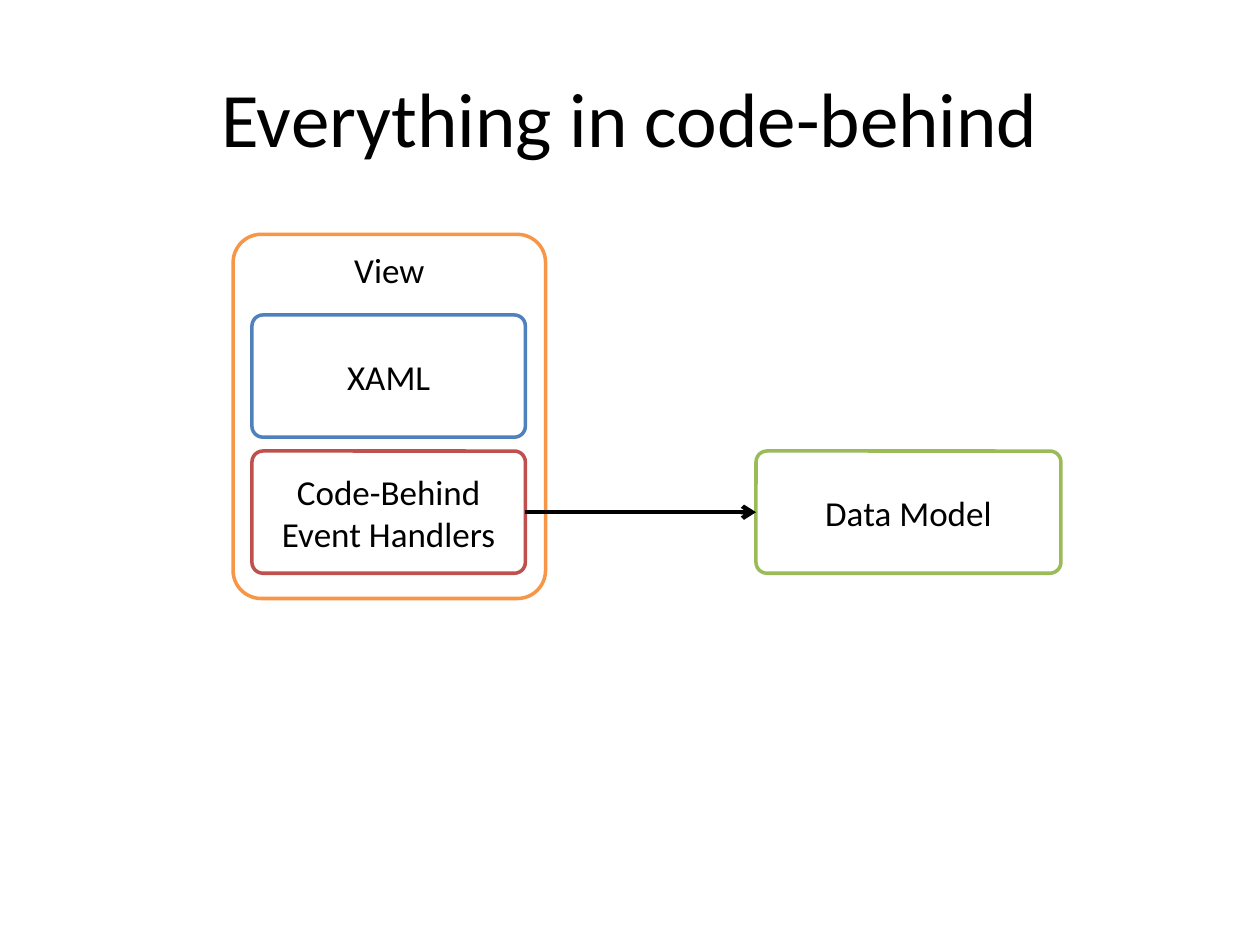
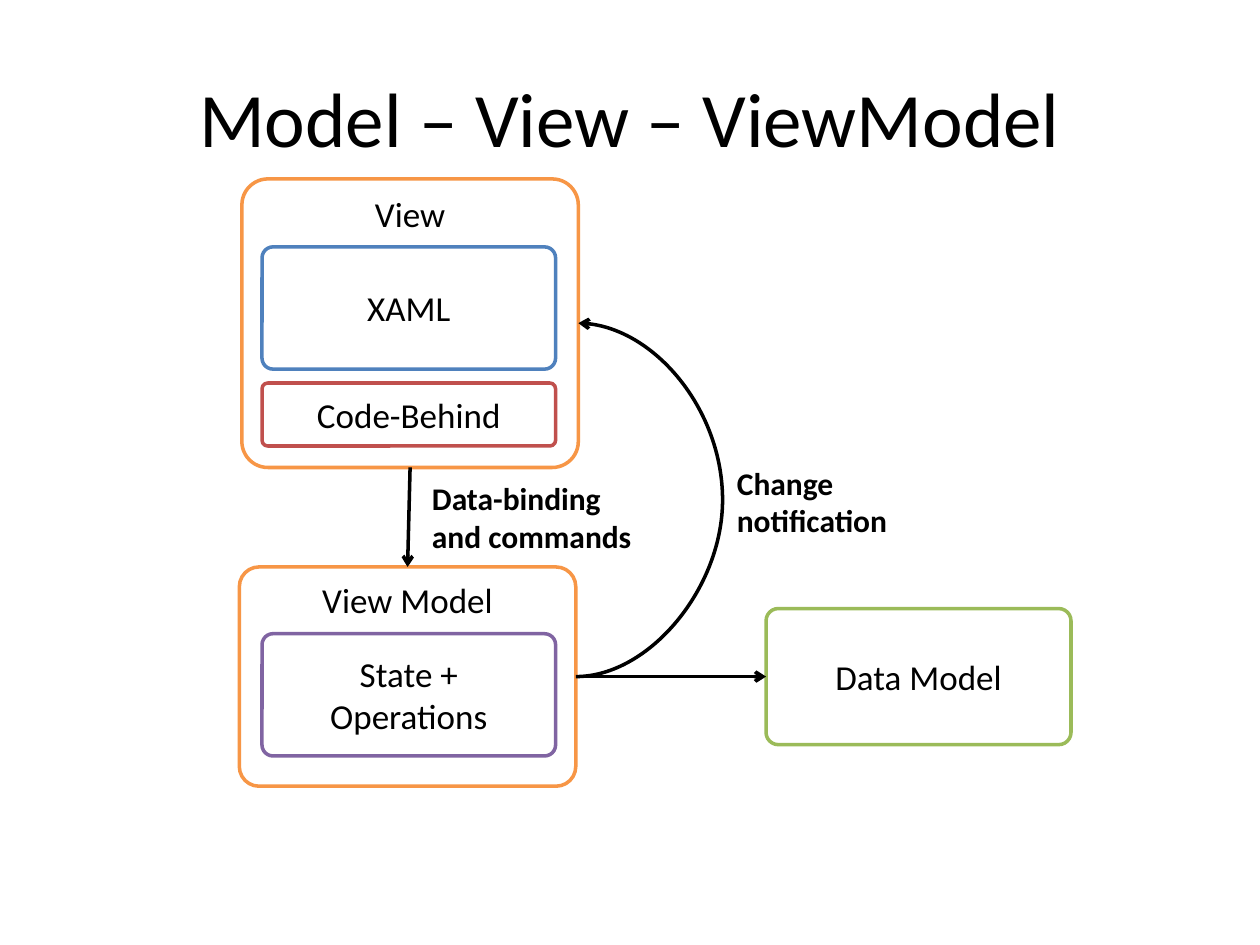
import dataclasses

import lxml.etree
import pptx
import pptx.dml.color
import pptx.enum.shapes
import pptx.enum.text
import pptx.oxml.ns
import pptx.shapes.autoshape
import pptx.shapes.connector
import pptx.slide
import pptx.util

PX = pptx.util.Inches(1) // 100
FONT = "Calibri"
COLORS = {
    "text": "000000",
    "paper": "FFFFFF",
    "view": "F79646",
    "xaml": "4F81BD",
    "code": "C0504D",
    "state": "8064A2",
    "model": "9BBB59",
}
ANCHOR = pptx.enum.text.MSO_ANCHOR
ALIGN = pptx.enum.text.PP_ALIGN
LINK = pptx.enum.shapes.MSO_CONNECTOR
TOP, LEFT, BOTTOM, RIGHT = range(4)


@dataclasses.dataclass
class Box:
    name: str
    lines: list[str]
    color: str
    x: int
    y: int
    w: int
    h: int
    anchor: ANCHOR = ANCHOR.MIDDLE


@dataclasses.dataclass
class Arrow:
    start: str
    start_side: int
    end: str
    end_side: int
    weight: float = 2
    bulge: int = 0  # percent of the connector's width; 0 means straight


@dataclasses.dataclass
class Label:
    text: str
    x: int
    y: int
    w: int
    h: int = 71


@dataclasses.dataclass
class Diagram:
    title: str
    boxes: list[Box]
    arrows: list[Arrow]
    labels: list[Label] = dataclasses.field(default_factory=list)


DIAGRAMS = [
    Diagram(
        "Everything in code-behind",
        [
            Box("model", ["Data Model"], "model", 600, 358, 242, 97),
            Box("view", ["View"], "view", 185, 186, 248, 289, ANCHOR.TOP),
            Box("xaml", ["XAML"], "xaml", 200, 250, 217, 97),
            Box("code", ["Code-Behind", "Event Handlers"], "code", 200, 358, 217, 97),
        ],
        [Arrow("code", RIGHT, "model", LEFT, 2.5)],
    ),
    Diagram(
        "Model – View – ViewModel",
        [
            Box("model", ["Data Model"], "model", 608, 483, 242, 108),
            Box("view", ["View"], "view", 192, 142, 267, 229, ANCHOR.TOP),
            Box("xaml", ["XAML"], "xaml", 208, 196, 233, 97),
            Box("code", ["Code-Behind"], "code", 208, 304, 233, 50),
            Box("view model", ["View Model"], "view", 190, 450, 267, 174, ANCHOR.TOP),
            Box("state", ["State + Operations"], "state", 208, 503, 233, 97),
        ],
        [
            Arrow("view model", RIGHT, "model", LEFT),
            Arrow("view", BOTTOM, "view model", TOP),
            Arrow("view model", RIGHT, "view", RIGHT, bulge=5800),
        ],
        [
            Label("Change notification", 575, 363, 167),
            Label("Data-binding and commands", 333, 375, 183),
        ],
    ),
]


def rgb(name: str) -> pptx.dml.color.RGBColor:
    return pptx.dml.color.RGBColor.from_string(COLORS[name])


def write(sp: pptx.shapes.autoshape.Shape, lines: list[str], size: int,
          align: ALIGN, anchor: ANCHOR, bold: bool = False) -> None:
    tf = sp.text_frame
    tf.word_wrap = True
    tf.vertical_anchor = anchor
    for i, line in enumerate(lines):
        p = tf.add_paragraph() if i else tf.paragraphs[0]
        p.alignment = align
        r = p.add_run()
        r.text = line
        r.font.name = FONT
        r.font.size = pptx.util.Pt(size)
        r.font.bold = bold
        r.font.color.rgb = rgb("text")


def add_text(s: pptx.slide.Slide, lines: list[str], x: int, y: int, w: int, h: int,
             size: int, align: ALIGN, anchor: ANCHOR, bold: bool = False) -> None:
    sp = s.shapes.add_textbox(x * PX, y * PX, w * PX, h * PX)
    write(sp, lines, size, align, anchor, bold)


def add_box(s: pptx.slide.Slide, box: Box) -> pptx.shapes.autoshape.Shape:
    sp = s.shapes.add_shape(pptx.enum.shapes.MSO_SHAPE.ROUNDED_RECTANGLE,
                            box.x * PX, box.y * PX, box.w * PX, box.h * PX)
    sp.adjustments[0] = 0.09
    sp.shadow.inherit = False
    sp.fill.solid()
    sp.fill.fore_color.rgb = rgb("paper")
    sp.line.color.rgb = rgb(box.color)
    sp.line.width = pptx.util.Pt(2)
    write(sp, box.lines, 20, ALIGN.CENTER, box.anchor)
    return sp


def add_arrow(s: pptx.slide.Slide, arrow: Arrow,
              shapes: dict[str, pptx.shapes.autoshape.Shape]) -> None:
    kind = LINK.CURVE if arrow.bulge else LINK.STRAIGHT
    cxn = s.shapes.add_connector(kind, 0, 0, 0, 0)
    cxn.begin_connect(shapes[arrow.start], arrow.start_side)
    cxn.end_connect(shapes[arrow.end], arrow.end_side)
    cxn.line.color.rgb = rgb("text")
    cxn.line.width = pptx.util.Pt(arrow.weight)
    qn = pptx.oxml.ns.qn
    sp_pr = cxn._element.spPr
    lxml.etree.SubElement(sp_pr.find(qn("a:ln")), qn("a:tailEnd"), type="arrow")
    lxml.etree.SubElement(sp_pr, qn("a:effectLst"))
    if arrow.bulge:
        guides = sp_pr.find(qn("a:prstGeom")).find(qn("a:avLst"))
        lxml.etree.SubElement(guides, qn("a:gd"), name="adj1",
                              fmla=f"val {arrow.bulge * 1000}")


def add_diagram(prs: pptx.Presentation, diagram: Diagram) -> None:
    s = prs.slides.add_slide(prs.slide_layouts[6])
    add_text(s, [diagram.title], 50, 30, 900, 125, 44, ALIGN.CENTER, ANCHOR.MIDDLE)
    shapes = {box.name: add_box(s, box) for box in diagram.boxes}
    for arrow in diagram.arrows:
        add_arrow(s, arrow, shapes)
    for label in diagram.labels:
        add_text(s, [label.text], label.x, label.y, label.w, label.h,
                 18, ALIGN.LEFT, ANCHOR.TOP, bold=True)


def main() -> None:
    prs = pptx.Presentation()
    prs.slide_width = 1000 * PX
    prs.slide_height = 750 * PX
    for diagram in DIAGRAMS:
        add_diagram(prs, diagram)
    prs.save("out.pptx")


if __name__ == "__main__":
    main()
